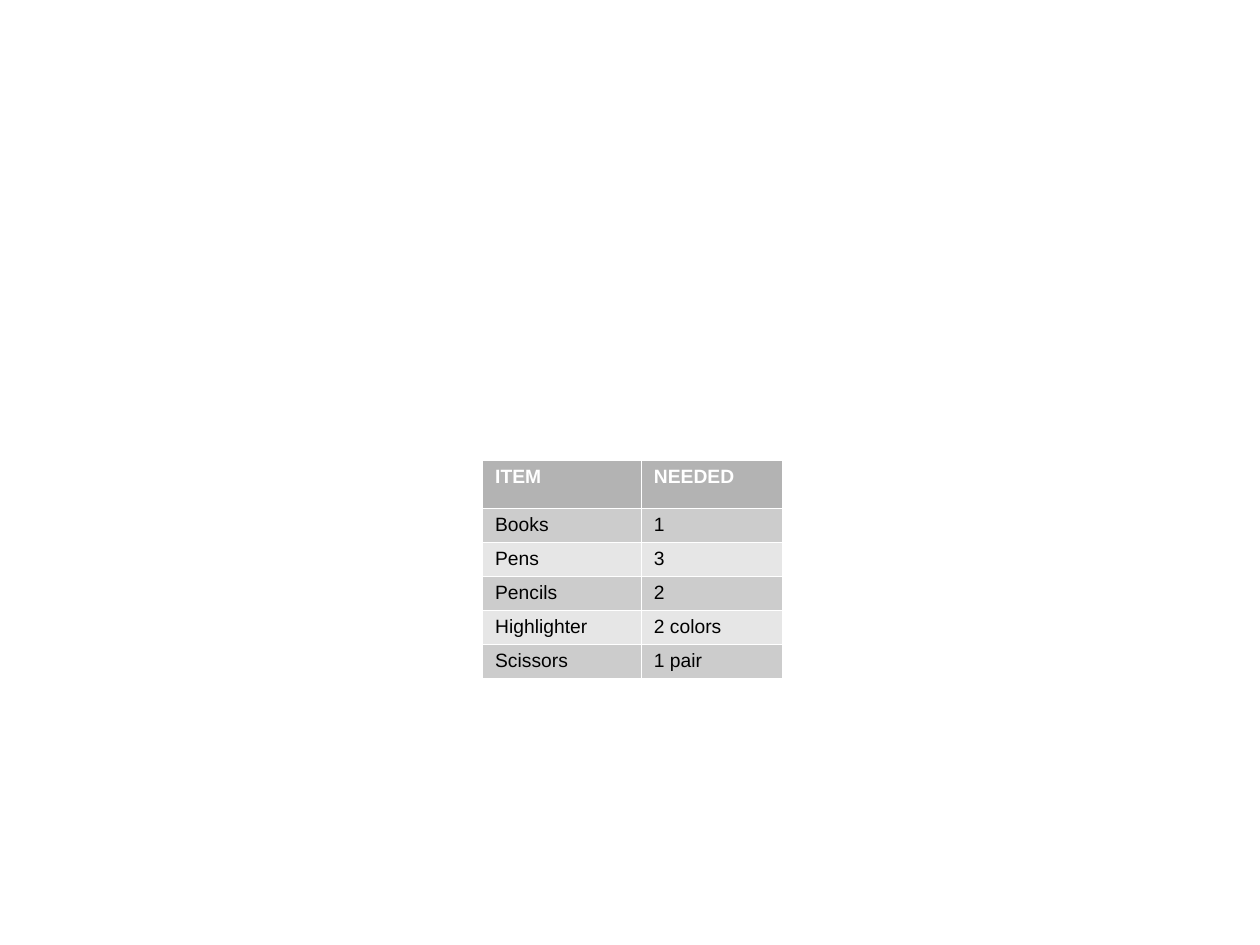
from lxml.etree import SubElement
from pptx import Presentation
from pptx.dml.color import RGBColor
from pptx.oxml.ns import qn
from pptx.util import Inches, Pt

HEADER_FILL = "B3B3B3"
BAND_FILLS = ["E6E6E6", "CCCCCC"]
WHITE, BLACK = "FFFFFF", "000000"
BORDER_WIDTH = Pt(0.06)

SUPPLIES = [
    ("ITEM", "NEEDED"),
    ("Books", "1"),
    ("Pens", "3"),
    ("Pencils", "2"),
    ("Highlighter", "2 colors"),
    ("Scissors", "1 pair"),
]
COLUMN_WIDTHS = [1.26, 1.12]
ROW_HEIGHTS = [0.38] + [0.27] * (len(SUPPLIES) - 1)


def color(hex_value):
    return RGBColor.from_string(hex_value)


def add_borders(cell, hex_value):
    properties = cell._tc.get_or_add_tcPr()
    for side in ("lnL", "lnR", "lnT", "lnB"):
        line = SubElement(properties, qn(f"a:{side}"), w=str(int(BORDER_WIDTH)))
        fill = SubElement(line, qn("a:solidFill"))
        SubElement(fill, qn("a:srgbClr"), val=hex_value)


# Blank slide
presentation = Presentation()
presentation.slide_width = Inches(10)
presentation.slide_height = Inches(7.5)
slide = presentation.slides.add_slide(presentation.slide_layouts[6])

# Supplies table
table = slide.shapes.add_table(
    len(SUPPLIES), len(COLUMN_WIDTHS), Inches(3.83), Inches(3.65),
    Inches(sum(COLUMN_WIDTHS)), Inches(sum(ROW_HEIGHTS)),
).table
for column, width in zip(table.columns, COLUMN_WIDTHS):
    column.width = Inches(width)
for row, height in zip(table.rows, ROW_HEIGHTS):
    row.height = Inches(height)

# Cell text, borders and banded fills
for row_index, values in enumerate(SUPPLIES):
    is_header = row_index == 0
    fill_color = HEADER_FILL if is_header else BAND_FILLS[row_index % 2]
    font_format = {"name": "Arial", "size": Pt(11), "bold": is_header}
    for column_index, value in enumerate(values):
        cell = table.cell(row_index, column_index)
        add_borders(cell, WHITE)
        cell.fill.solid()
        cell.fill.fore_color.rgb = color(fill_color)
        cell.text = value
        font = cell.text_frame.paragraphs[0].runs[0].font
        for name, setting in font_format.items():
            setattr(font, name, setting)
        font.color.rgb = color(WHITE if is_header else BLACK)

presentation.save("out.pptx")
